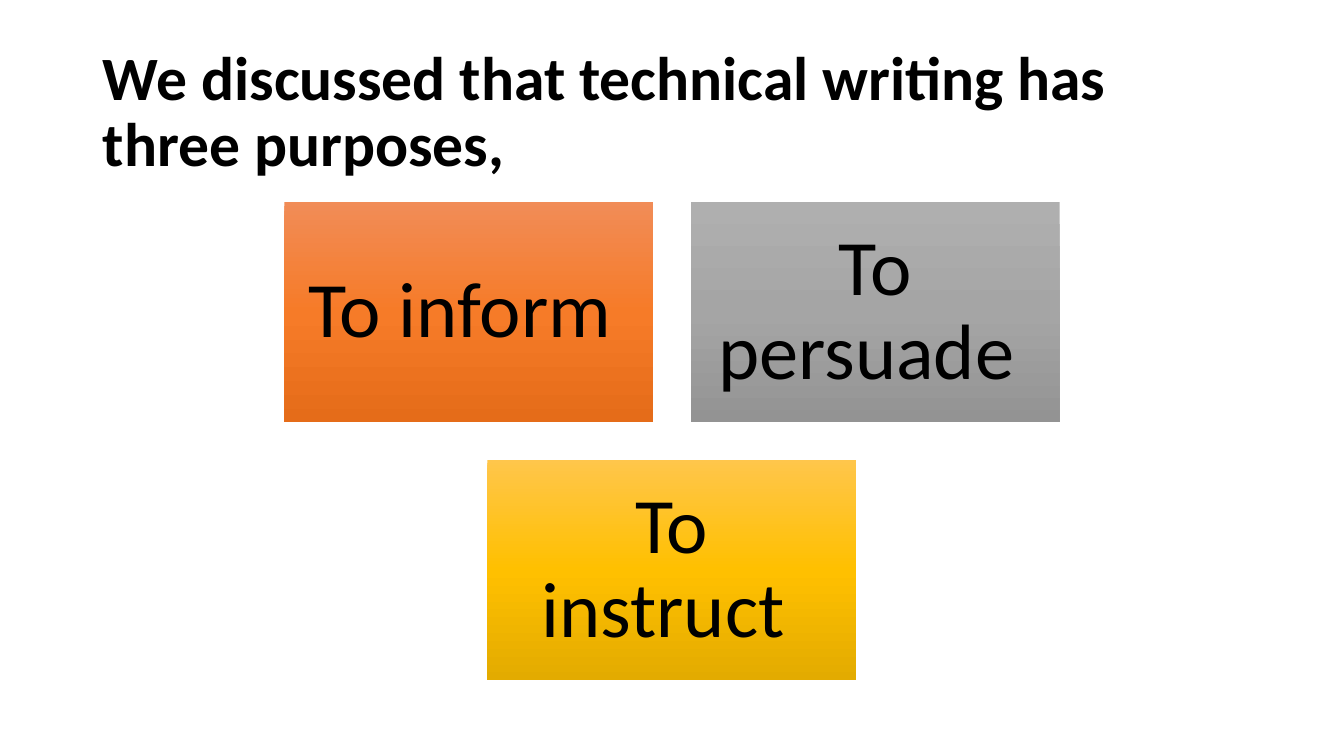
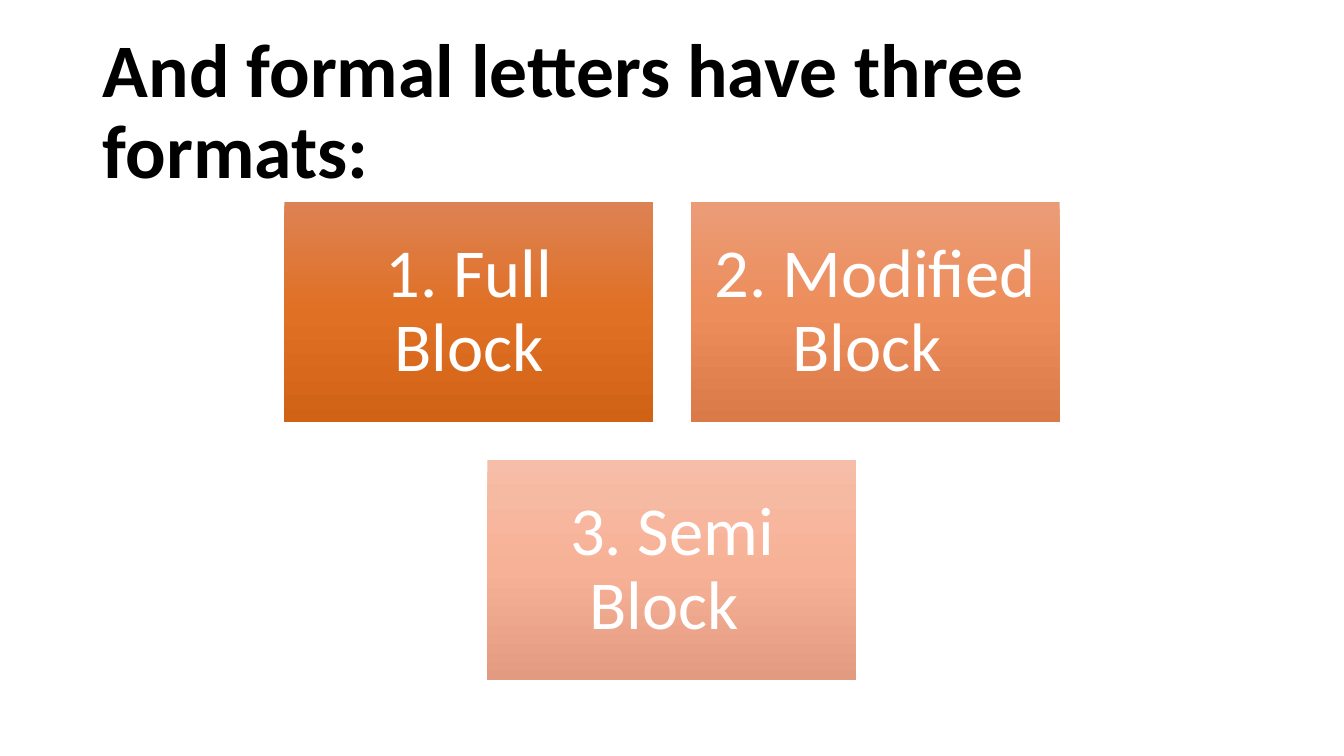
"""Build two slides, each with a title above three gradient cards."""
from copy import deepcopy

from pptx import Presentation
from pptx.dml.color import RGBColor
from pptx.enum.shapes import MSO_SHAPE as Shape
from pptx.enum.text import MSO_ANCHOR as Anchor, MSO_AUTO_SIZE as AutoSize, PP_ALIGN as Align
from pptx.oxml.ns import qn
from pptx.util import Inches, Pt

FONT = "Calibri"
BLACK = RGBColor(0x00, 0x00, 0x00)
WHITE = RGBColor(0xFF, 0xFF, 0xFF)
ORANGE = (RGBColor(0xF1, 0x8C, 0x57), RGBColor(0xF6, 0x7B, 0x28), RGBColor(0xE5, 0x6C, 0x19))
GRAY = (RGBColor(0xAF, 0xAF, 0xAF), RGBColor(0xA5, 0xA5, 0xA5), RGBColor(0x93, 0x93, 0x93))
GOLD = (RGBColor(0xFF, 0xC6, 0x4B), RGBColor(0xFF, 0xC0, 0x00), RGBColor(0xE3, 0xAB, 0x00))
RUST = (RGBColor(0xDD, 0x82, 0x54), RGBColor(0xE0, 0x70, 0x24), RGBColor(0xD0, 0x62, 0x16))
CORAL = (RGBColor(0xEB, 0x9C, 0x77), RGBColor(0xED, 0x8D, 0x5B), RGBColor(0xDB, 0x7A, 0x49))
PEACH = (RGBColor(0xF6, 0xBD, 0xA8), RGBColor(0xF7, 0xB1, 0x96), RGBColor(0xE2, 0x9A, 0x80))

SLIDES = [
    {
        "title": "We discussed that technical writing has three purposes,",
        "title_size": 44,
        "card_format": {"size": 56, "color": BLACK, "inset": 0.23},
        "cards": [("To inform ", ORANGE), ("To persuade ", GRAY), ("To instruct ", GOLD)],
    },
    {
        "title": "And formal letters have three formats:",
        "title_size": 54,
        "card_format": {"size": 49, "color": WHITE, "inset": 0.2},
        "cards": [("1. Full Block", RUST), ("2. Modified Block ", CORAL), ("3. Semi Block ", PEACH)],
    },
]

SLIDE_WIDTH, SLIDE_HEIGHT = Inches(13.33), Inches(7.5)
CARD_WIDTH, CARD_HEIGHT = Inches(3.66), Inches(2.19)
CARD_GAP, CARDS_TOP, CARDS_PER_ROW = Inches(0.37), Inches(2), 2


def write_text(box, text, size, color=BLACK, bold=False, align=Align.LEFT, inset=None):
    """Put one formatted paragraph in the middle of a box."""
    frame = box.text_frame
    frame.word_wrap = True
    frame.auto_size = AutoSize.NONE
    frame.vertical_anchor = Anchor.MIDDLE
    if inset is not None:
        frame.margin_left = frame.margin_right = Inches(inset)
        frame.margin_top = frame.margin_bottom = Inches(inset)
    para = frame.paragraphs[0]
    para.alignment = align
    para.line_spacing = 0.9
    para.space_before = Pt(0)
    span = para.add_run()
    span.text = text
    span.font.name = FONT
    span.font.size = Pt(size)
    span.font.bold = bold
    span.font.color.rgb = color


def fill_gradient(box, colors):
    """Fill a shape from top to bottom with evenly spaced colours."""
    box.fill.gradient()
    box.fill.gradient_angle = 270
    stop_list = box.fill._xPr.find(qn("a:gradFill")).find(qn("a:gsLst"))
    while len(stop_list) < len(colors):
        stop_list.append(deepcopy(stop_list[-1]))
    for index, (stop, color) in enumerate(zip(box.fill.gradient_stops, colors)):
        stop.position = index / (len(colors) - 1)
        stop.color.rgb = color


def add_cards(page, cards, card_format):
    """Lay out cards in rows, each row centred on the slide."""
    for start in range(0, len(cards), CARDS_PER_ROW):
        row = cards[start:start + CARDS_PER_ROW]
        row_width = len(row) * (CARD_WIDTH + CARD_GAP) - CARD_GAP
        left = (SLIDE_WIDTH - row_width) // 2
        top = CARDS_TOP + start // CARDS_PER_ROW * (CARD_HEIGHT + CARD_GAP)
        for column, (text, colors) in enumerate(row):
            card = page.shapes.add_shape(
                Shape.RECTANGLE, left + column * (CARD_WIDTH + CARD_GAP), top, CARD_WIDTH, CARD_HEIGHT)
            card.shadow.inherit = False
            card.line.fill.background()
            fill_gradient(card, colors)
            write_text(card, text, align=Align.CENTER, **card_format)


def main():
    """Build and save the deck."""
    deck = Presentation()
    deck.slide_width, deck.slide_height = SLIDE_WIDTH, SLIDE_HEIGHT
    for content in SLIDES:
        page = deck.slides.add_slide(deck.slide_layouts[5])
        title = page.shapes.title
        title.left, title.top = Inches(0.92), Inches(0.4)
        title.width, title.height = Inches(11.5), Inches(1.45)
        write_text(title, content["title"], content["title_size"], bold=True)
        add_cards(page, content["cards"], content["card_format"])
    deck.save("out.pptx")


if __name__ == "__main__":
    main()
